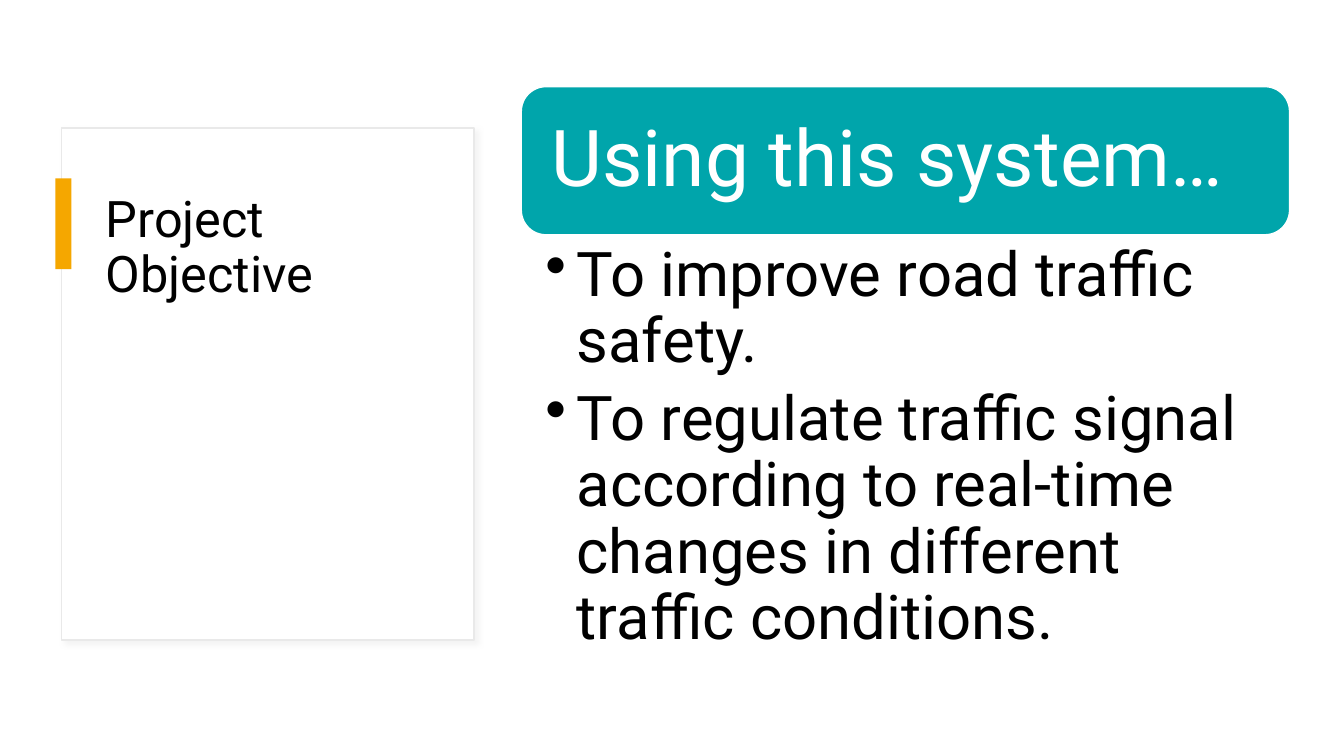
from lxml.etree import SubElement
from pptx import Presentation
from pptx.dml.color import RGBColor
from pptx.enum.shapes import MSO_SHAPE as Shape
from pptx.enum.text import MSO_ANCHOR as Anchor, PP_ALIGN as Align
from pptx.oxml.ns import qn
from pptx.util import Emu, Pt

SCALE = 9144
COLORS = {
    "white": "FFFFFF",
    "black": "000000",
    "border": "E9E9E9",
    "shadow": "D9D9D9",
    "accent": "F5A700",
    "banner": "00A5AB",
}


def px(length):
    return Emu(length * SCALE)


def color(name):
    return RGBColor.from_string(COLORS[name])


def write_text(frame, lines, size, ink="black", font="Roboto", after=0, indent=0):
    for number, line in enumerate(lines):
        para = frame.paragraphs[0] if number == 0 else frame.add_paragraph()
        para.alignment = Align.LEFT
        para.line_spacing = 0.9
        para.space_after = Pt(after)
        if indent:
            props = para._p.get_or_add_pPr()
            props.set("marL", str(px(indent)))
            props.set("indent", str(-px(indent)))
            SubElement(props, qn("a:buChar"), char="•")
        span = para.add_run()
        span.text = line
        span.font.name = font
        span.font.size = Pt(size)
        span.font.color.rgb = color(ink)


class ObjectiveSlide:
    """Draws styled elements on one slide."""

    def __init__(self, deck):
        self.page = deck.slides.add_slide(deck.slide_layouts[6])

    def panel(self, left, top, width, height, fill, line=None, kind=Shape.RECTANGLE):
        box = self.page.shapes.add_shape(kind, px(left), px(top), px(width), px(height))
        box.shadow.inherit = False
        box.fill.solid()
        box.fill.fore_color.rgb = color(fill)
        if line:
            box.line.color.rgb = color(line)
            box.line.width = Pt(1)
        else:
            box.line.fill.background()
        return box

    def card(self, left, top, width, height):
        box = self.panel(left, top, width, height, "white", line="border")
        effects = box._element.spPr.find(qn("a:effectLst"))
        shadow = SubElement(
            effects, qn("a:outerShdw"), blurRad=str(Pt(4)), dist=str(Pt(3)),
            dir="2700000", algn="tl", rotWithShape="0")
        tint = SubElement(shadow, qn("a:srgbClr"), val=COLORS["shadow"])
        SubElement(tint, qn("a:alpha"), val="30000")

    def text(self, left, top, width, height, lines, size,
             insets=(10, 5, 10, 5), anchor=Anchor.TOP, **style):
        box = self.page.shapes.add_textbox(px(left), px(top), px(width), px(height))
        frame = box.text_frame
        frame.word_wrap = True
        frame.vertical_anchor = anchor
        frame.margin_left, frame.margin_top, frame.margin_right, frame.margin_bottom = map(px, insets)
        write_text(frame, lines, size, **style)


def main():
    deck = Presentation()
    deck.slide_width, deck.slide_height = px(1333), px(750)
    slide = ObjectiveSlide(deck)

    slide.card(61, 127, 409, 508)
    slide.text(95, 188, 339, 385, ["Project Objective"], 36)
    slide.panel(55, 177, 16, 90, "accent")

    slide.panel(517, 86, 762, 147, "banner", line="white", kind=Shape.ROUNDED_RECTANGLE)
    slide.text(524, 93, 748, 133, ["Using this system…"], 56,
               insets=(23, 23, 23, 23), anchor=Anchor.MIDDLE, ink="white")
    slide.text(517, 233, 762, 431, [
        "To improve road traffic safety.",
        "To regulate traffic signal according to real-time changes in different traffic conditions.",
    ], 44, insets=(24, 8, 44, 8), after=8, indent=31)

    deck.save("out.pptx")


if __name__ == "__main__":
    main()
